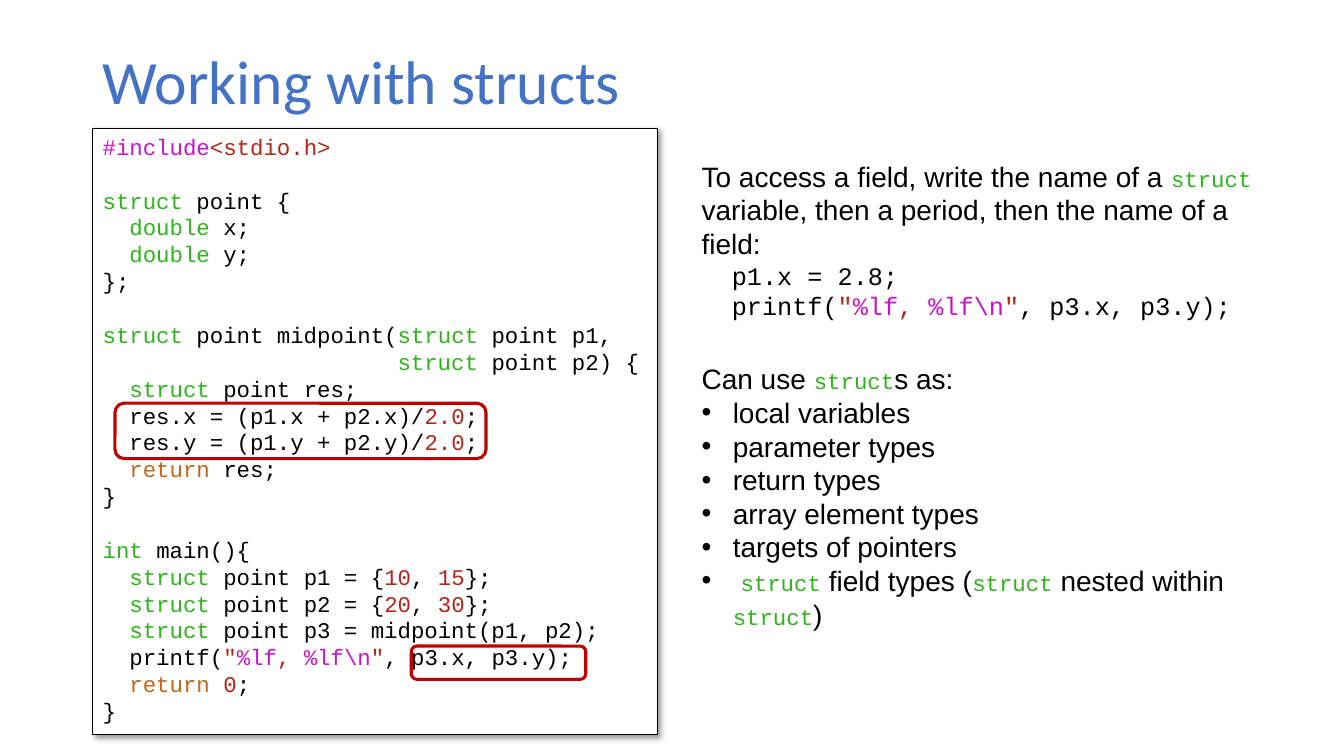
import pptx
import pptx.util
import pptx.dml.color
import pptx.enum.shapes
import pptx.enum.text
import pptx.oxml
import pptx.oxml.ns
from pptx.util import Inches

SHAPE = pptx.enum.shapes.MSO_SHAPE
ANCHOR = pptx.enum.text.MSO_ANCHOR
ALIGN = pptx.enum.text.PP_ALIGN
NS = pptx.oxml.ns.nsdecls("a")

# Text marks: "~" and a letter start a run in that style
CODE = {"k": "000000", "g": "2FB41D", "m": "C814C9", "r": "B42419", "o": "C1651C"}


def color(code):
    return pptx.dml.color.RGBColor.from_string(code)


def write(para, text, size=16):
    """Fill a paragraph from marked text; "a" is prose, the rest is code."""
    para.alignment = ALIGN.LEFT
    para.font.name = "Courier New"
    para.font.size = pptx.util.Pt(size)
    for part in text.split("~")[1:]:
        run = para.add_run()
        run.text = part[1:]
        prose = part[0] == "a"
        run.font.name = "Arial" if prose else "Courier New"
        run.font.size = pptx.util.Pt(20 if prose else size)
        run.font.color.rgb = color("000000" if prose else CODE[part[0]])


deck = pptx.Presentation()
deck.slide_width, deck.slide_height = Inches(13.33), Inches(7.5)
slide = deck.slides.add_slide(deck.slide_layouts[6])
shapes = slide.shapes

# Title
title = shapes.add_textbox(Inches(0.92), Inches(0.4), Inches(11.5), Inches(0.87))
frame = title.text_frame
frame.word_wrap = True
frame.vertical_anchor = ANCHOR.MIDDLE
frame.text = "Working with structs"
head = frame.paragraphs[0]
head.line_spacing = 0.9
font = head.runs[0].font
font.name, font.size = "Calibri", pptx.util.Pt(44)
font.color.rgb = color("4472C4")

# Program listing
PRINT = '~k  printf(~r"~m%lf~r, ~m%lf\\n~r"~k, p3.x, p3.y);'
LINES = [
    "~m#include~r<stdio.h>",
    "",
    "~gstruct~k point {",
    "~g  double~k x;",
    "~g  double~k y;",
    "~k};",
    "",
    "~gstruct~k point midpoint(~gstruct~k point p1,",
    "~g                      struct~k point p2) {",
    "~g  struct~k point res;",
    "~k  res.x = (p1.x + p2.x)/~r2.0~k;",
    "~k  res.y = (p1.y + p2.y)/~r2.0~k;",
    "~o  return~k res;",
    "~k}",
    "",
    "~gint~k main(){",
    "~g  struct~k point p1 = {~r10~k, ~r15~k};",
    "~g  struct~k point p2 = {~r20~k, ~r30~k};",
    "~g  struct~k point p3 = midpoint(p1, p2);",
    PRINT,
    "~o  return ~r0~k;",
    "~k}",
]
panel = shapes.add_shape(SHAPE.RECTANGLE, Inches(0.92), Inches(1.27), Inches(5.6), Inches(6.02))
panel.fill.solid()
panel.fill.fore_color.rgb = color("FFFFFF")
panel.line.color.rgb = color("000000")
panel.line.width = pptx.util.Pt(0.75)
panel.shadow.inherit = False
effects = panel._element.spPr.find(pptx.oxml.ns.qn("a:effectLst"))
effects.append(pptx.oxml.parse_xml(
    f'<a:outerShdw {NS} blurRad="50800" dist="38100" dir="2700000" algn="tl" rotWithShape="0">'
    '<a:srgbClr val="000000"><a:alpha val="40000"/></a:srgbClr></a:outerShdw>'))
frame = panel.text_frame
frame.word_wrap = False
frame.vertical_anchor = ANCHOR.TOP
for row, line in enumerate(LINES):
    write(frame.add_paragraph() if row else frame.paragraphs[0], line)

# Red frames around the field accesses
for left, top, width, height in [(1.14, 4, 3.68, 0.55), (4.08, 6.41, 1.73, 0.33)]:
    mark = shapes.add_shape(SHAPE.ROUNDED_RECTANGLE, Inches(left), Inches(top),
                            Inches(width), Inches(height))
    mark.fill.background()
    mark.line.color.rgb = color("C00000")
    mark.line.width = pptx.util.Pt(2.25)
    mark.shadow.inherit = False

# Field access
access = shapes.add_textbox(Inches(6.86), Inches(1.53), Inches(6.03), Inches(1.38))
frame = access.text_frame
frame.word_wrap = True
write(frame.paragraphs[0], "~aTo access a field, write the name of a ~gstruct"
      "~a variable, then a period, then the name of a field:")
for line in ["~k  p1.x = 2.8;", PRINT]:
    write(frame.add_paragraph(), line, 18)

# Uses of structs
USES = [
    "~alocal variables",
    "~aparameter types",
    "~areturn types",
    "~aarray element types",
    "~atargets of pointers",
    "~a ~gstruct~a field types (~gstruct~a nested within ~gstruct~a)",
]
uses = shapes.add_textbox(Inches(6.86), Inches(3.54), Inches(6.24), Inches(2.46))
frame = uses.text_frame
frame.word_wrap = True
write(frame.paragraphs[0], "~aCan use ~gstruct~as as:")
for line in USES:
    para = frame.add_paragraph()
    props = para._p.get_or_add_pPr()
    props.set("marL", str(Inches(0.31)))
    props.set("indent", str(-Inches(0.31)))
    props.append(pptx.oxml.parse_xml(f'<a:buFont {NS} typeface="Arial"/>'))
    props.append(pptx.oxml.parse_xml(f'<a:buChar {NS} char="•"/>'))
    write(para, line)

deck.save("out.pptx")
